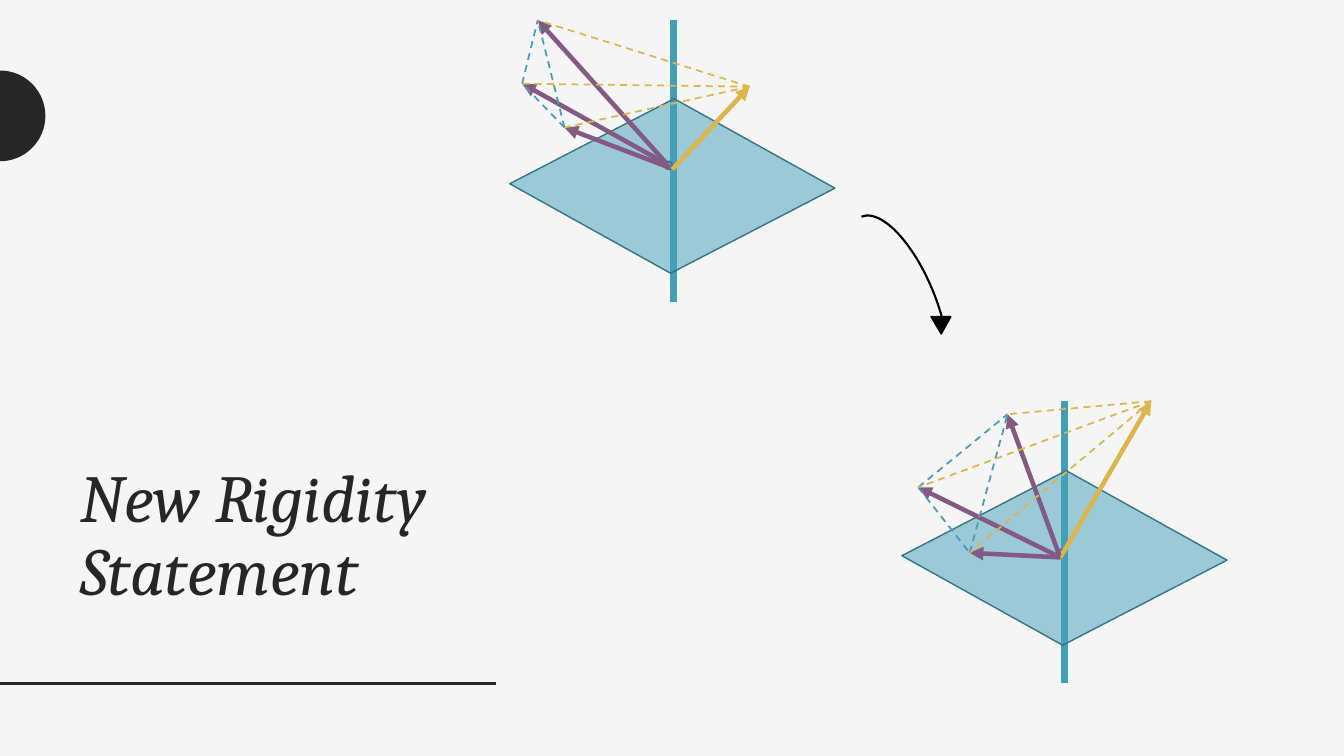
import itertools
import math

import pptx
import pptx.dml.color
import pptx.enum.dml
import pptx.enum.shapes
import pptx.enum.text
import pptx.oxml
import pptx.util

SHAPES = pptx.enum.shapes.MSO_SHAPE
INK, PAPER, BLACK = "262626", "F5F5F5", "000000"
TEAL, TEAL_EDGE, PURPLE, GOLD = "439EB7", "327587", "835B82", "DCB64D"


def rgb(value):
    return pptx.dml.color.RGBColor.from_string(value)


def cells(count):
    """Length of grid columns or rows, each a tenth of an inch."""
    return pptx.util.Inches(count / 10)


def apply(target, **values):
    for key, value in values.items():
        setattr(target, key, value)


class Canvas:
    """The current slide and its style; positions are (column, row) pairs."""
    title_font = dict(name="Cambria", size=pptx.util.Pt(48), italic=True)

    def __init__(self, presentation):
        self.slide = presentation.slides.add_slide(presentation.slide_layouts[6])
        self.shapes = self.slide.shapes
        fill = self.slide.background.fill
        fill.solid()
        fill.fore_color.rgb = rgb(PAPER)

    def outline(self, shape, color, width):
        shape.line.color.rgb = rgb(color)
        shape.line.width = pptx.util.Pt(width)

    def paint(self, shape, color, alpha=None):
        shape.shadow.inherit = False
        shape.fill.solid()
        shape.fill.fore_color.rgb = rgb(color)
        if alpha is not None:
            solid = shape._element.spPr.find(pptx.oxml.ns.qn("a:solidFill"))
            opacity = solid[0].makeelement(pptx.oxml.ns.qn("a:alpha"),
                                           {"val": str(alpha * 1000)})
            solid[0].append(opacity)

    def title(self, text, left, top, width, height):
        box = self.shapes.add_textbox(*map(cells, (left, top, width, height)))
        apply(box.text_frame, word_wrap=True,
              vertical_anchor=pptx.enum.text.MSO_ANCHOR.BOTTOM)
        paragraph = box.text_frame.paragraphs[0]
        paragraph.line_spacing = 0.9
        run = paragraph.add_run()
        run.text = text
        apply(run.font, **self.title_font)
        run.font.color.rgb = rgb(INK)

    def line(self, start, end, color, width, arrow=False, dashed=False):
        connector = self.shapes.add_connector(
            pptx.enum.shapes.MSO_CONNECTOR.STRAIGHT, *map(cells, (*start, *end)))
        self.outline(connector, color, width)
        if dashed:
            connector.line.dash_style = pptx.enum.dml.MSO_LINE.DASH
        if arrow:
            stroke = connector.line._get_or_add_ln()
            stroke.append(stroke.makeelement(pptx.oxml.ns.qn("a:tailEnd"),
                                             {"type": "triangle"}))
        properties = connector._element.spPr
        properties.append(properties.makeelement(pptx.oxml.ns.qn("a:effectLst"), {}))

    def preset(self, kind, corner, size, fill=None, edge=BLACK, width=1,
               rotation=0, adjustments=(), alpha=None):
        shape = self.shapes.add_shape(kind, *map(cells, (*corner, *size)))
        shape.rotation = rotation
        for index, value in enumerate(adjustments):
            shape.adjustments[index] = value
        if fill:
            self.paint(shape, fill, alpha)
        else:
            shape.shadow.inherit = False
            shape.fill.background()
        self.outline(shape, edge, width)

    def half_disc(self, center_row, radius, color, steps=52):
        """Right half of a disc centred on the slide's left edge."""
        angles = [math.pi * (step / steps - 0.5) for step in range(steps + 1)]
        rim = [(cells(radius * math.cos(angle)),
                cells(center_row + radius * math.sin(angle))) for angle in angles]
        builder = self.shapes.build_freeform(*rim[0])
        builder.add_line_segments(rim[1:], close=True)
        disc = builder.convert_to_shape()
        self.paint(disc, color)
        disc.line.fill.background()

    def framework(self, axis_top, plane, origin, arrows):
        """Axis through a plane, vectors from the origin, and the tips joined by dashes."""
        column, row = axis_top
        self.line(axis_top, (column, row + 28), TEAL, 4.5)
        self.preset(SHAPES.PARALLELOGRAM, plane, (28.4, 15.3), TEAL, TEAL_EDGE,
                    rotation=209.1, adjustments=[0.663], alpha=50)
        self.preset(SHAPES.OVAL, origin, (0.8, 0.8), TEAL, TEAL_EDGE)
        for tail, tip, color in arrows:
            self.line(tail, tip, color, 3.25, arrow=True)
        base = [tip for _, tip, color in arrows if color == PURPLE]
        apex = next(tip for _, tip, color in arrows if color == GOLD)
        for start, end in itertools.combinations(base, 2):
            self.line(start, end, TEAL, 1.25, dashed=True)
        for corner in base:
            self.line(apex, corner, GOLD, 1.25, dashed=True)


FRAMEWORKS = [
    dict(axis_top=(66.8, 2), plane=(52.5, 10.8), origin=(65.9, 16),
         arrows=[((66.6, 16.7), (56, 12.65), PURPLE),
                 ((66.2, 16.3), (51.8, 8.3), PURPLE),
                 ((66.2, 16.3), (53.35, 2), PURPLE),
                 ((66.7, 16.8), (74.35, 8.6), GOLD)]),
    dict(axis_top=(105.6, 39.8), plane=(91.4, 47.7), origin=(104.8, 54.5),
         arrows=[((105.2, 55.3), (114.2, 39.8), GOLD),
                 ((105, 55.2), (91.1, 48.35), PURPLE),
                 ((105.2, 55.3), (96.2, 54.85), PURPLE),
                 ((105.1, 55.1), (99.95, 41.1), PURPLE)]),
]


def main():
    presentation = pptx.Presentation()
    apply(presentation, slide_width=cells(133.33), slide_height=cells(75))
    canvas = Canvas(presentation)
    canvas.title("New Rigidity Statement", 7, 7, 43, 54)
    canvas.half_disc(11.5, 4.5, INK)
    canvas.line((0, 67.8), (49.2, 67.8), INK, 2)
    for framework in FRAMEWORKS:
        canvas.framework(**framework)
    canvas.preset(SHAPES.ARC, (85.2, 20.8), (7.7, 19.3), width=1.5,
                  rotation=338.2, adjustments=[162, 22.682])
    canvas.preset(SHAPES.ISOSCELES_TRIANGLE, (92.6, 31), (2, 1.7), BLACK,
                  rotation=59.6)
    presentation.save("out.pptx")


if __name__ == "__main__":
    main()
